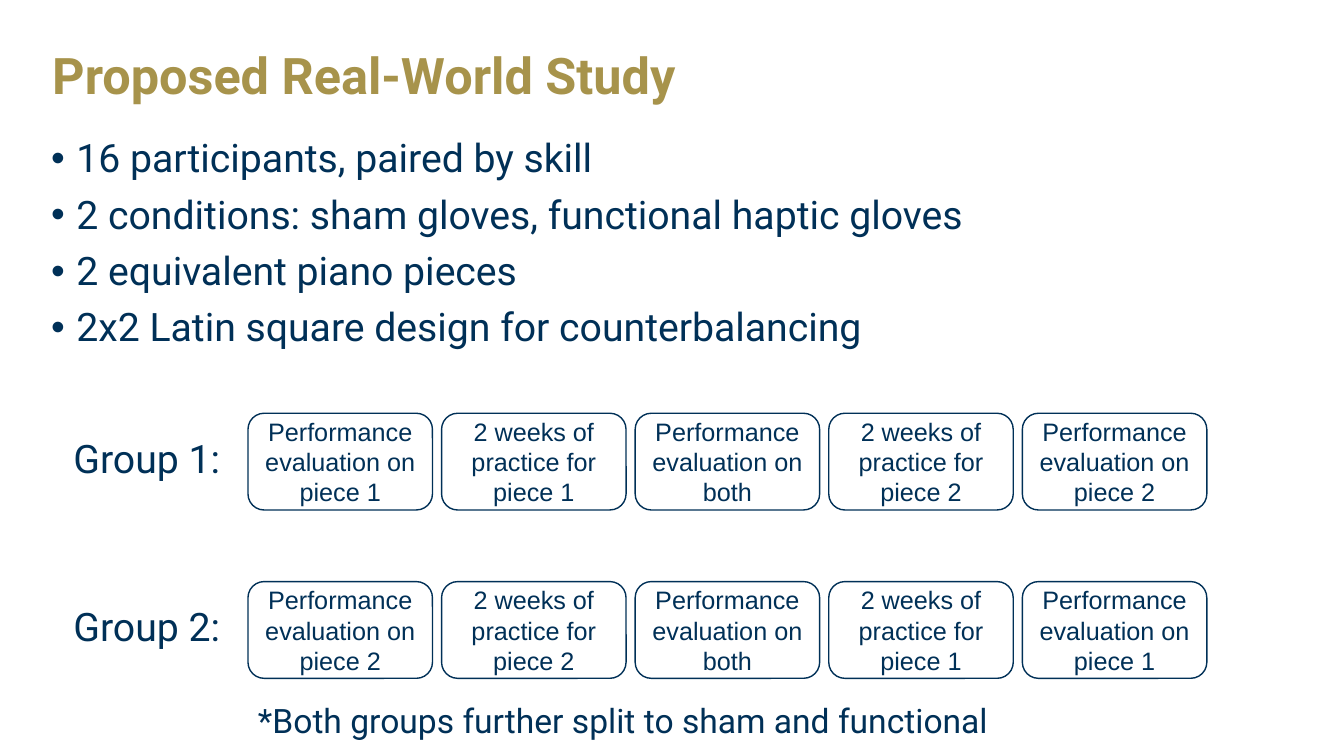
import pptx
import pptx.dml.color
import pptx.enum.shapes
import pptx.enum.text
import pptx.oxml
import pptx.util
from pptx.util import Inches

NAVY = pptx.dml.color.RGBColor(0x00, 0x30, 0x57)
GOLD = pptx.dml.color.RGBColor(0xA7, 0x93, 0x4B)
WHITE = pptx.dml.color.RGBColor(0xFF, 0xFF, 0xFF)
CENTER = pptx.enum.text.PP_ALIGN.CENTER
MIDDLE = pptx.enum.text.MSO_ANCHOR.MIDDLE

TITLE = "Proposed Real-World Study"
BULLETS = [
    "16 participants, paired by skill",
    "2 conditions: sham gloves, functional haptic gloves",
    "2 equivalent piano pieces",
    "2x2 Latin square design for counterbalancing",
]
GROUPS = [("Group 1:", 1, 2), ("Group 2:", 2, 1)]
FOOTNOTE = "*Both groups further split to sham and functional"

STEP_LEFT, STEP_TOP = 2.46, 4.1
STEP_WIDTH, STEP_HEIGHT = 1.83, 0.96
STEP_PITCH, GROUP_PITCH = 1.92, 1.67


def study_steps(first, second):
    """Return the paragraphs of each step for a group's order of pieces."""
    return [
        ["Performance", f"evaluation on piece {first}"],
        [f"2 weeks of practice for piece {first}"],
        ["Performance", "evaluation on both"],
        [f"2 weeks of practice for piece {second}"],
        ["Performance", f"evaluation on piece {second}"],
    ]


def add_run(paragraph, text, size, font="Roboto", color=NAVY, bold=False):
    run = paragraph.add_run()
    run.text = text
    run.font.size = pptx.util.Pt(size)
    run.font.name = font
    run.font.color.rgb = color
    run.font.bold = bold


def paragraphs_for(text_frame, lines):
    """Yield a paragraph of the frame together with each line."""
    for index, line in enumerate(lines):
        yield (text_frame.add_paragraph() if index else text_frame.paragraphs[0]), line


def add_text(slide, box, lines, size, bullet=False, anchor=None, **style):
    text_frame = slide.shapes.add_textbox(*map(Inches, box)).text_frame
    text_frame.word_wrap = True
    text_frame.vertical_anchor = anchor
    for paragraph, line in paragraphs_for(text_frame, lines):
        paragraph.line_spacing = 0.9
        if line is not lines[0]:
            paragraph.space_before = pptx.util.Pt(10)
        if bullet:
            properties = paragraph._p.get_or_add_pPr()
            properties.set("marL", str(Inches(0.25)))
            properties.set("indent", str(Inches(-0.25)))
            namespace = pptx.oxml.ns.nsdecls("a")
            for element in ('buFont typeface="Arial"', 'buChar char="•"'):
                tag, attribute = element.split()
                properties.append(pptx.oxml.parse_xml(f"<a:{tag} {namespace} {attribute}/>"))
        add_run(paragraph, line, size, **style)


def add_step(slide, left, top, lines):
    shape = slide.shapes.add_shape(
        pptx.enum.shapes.MSO_SHAPE.ROUNDED_RECTANGLE,
        *map(Inches, (left, top, STEP_WIDTH, STEP_HEIGHT)))
    shape.shadow.inherit = False
    shape.fill.solid()
    shape.fill.fore_color.rgb = WHITE
    shape.line.color.rgb = NAVY
    shape.line.width = pptx.util.Pt(1)
    shape.text_frame.word_wrap = True
    shape.text_frame.vertical_anchor = MIDDLE
    for paragraph, line in paragraphs_for(shape.text_frame, lines):
        paragraph.alignment = CENTER
        add_run(paragraph, line, 18, font="Arial")


def main():
    presentation = pptx.Presentation()
    presentation.slide_width = Inches(13.33)
    presentation.slide_height = Inches(7.5)
    slide = presentation.slides.add_slide(presentation.slide_layouts[6])

    add_text(slide, (0.42, 0.22, 12.5, 1.11), [TITLE], 36,
             anchor=MIDDLE, color=GOLD, bold=True)
    add_text(slide, (0.41, 1.33, 9.55, 2.42), BULLETS, 28, bullet=True)
    for row, (label, first, second) in enumerate(GROUPS):
        top = STEP_TOP + row * GROUP_PITCH
        add_text(slide, (0.63, top + 0.21, 1.72, 0.56), [label], 28)
        for column, lines in enumerate(study_steps(first, second)):
            add_step(slide, STEP_LEFT + column * STEP_PITCH, top, lines)
    add_text(slide, (2.46, 6.94, 7.51, 0.56), [FOOTNOTE], 24)

    presentation.save("out.pptx")


if __name__ == "__main__":
    main()
